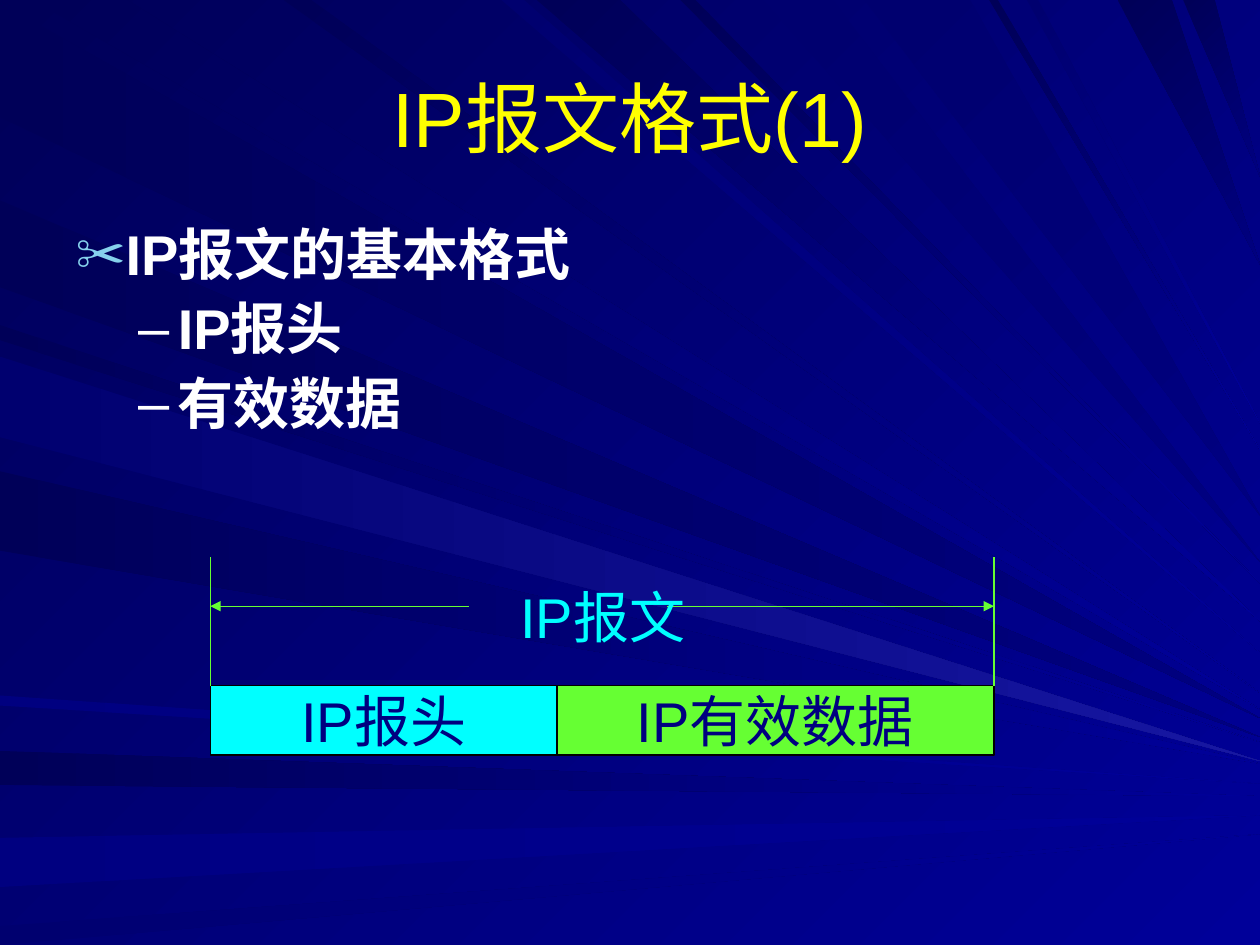
from lxml.etree import SubElement
from pptx import Presentation
from pptx.dml.color import RGBColor
from pptx.enum.shapes import MSO_CONNECTOR, MSO_SHAPE
from pptx.enum.text import MSO_ANCHOR, MSO_AUTO_SIZE, PP_ALIGN
from pptx.oxml.ns import qn
from pptx.util import Cm, Pt

COLORS = {
    "night": "000058", "dusk": "00006F", "blue": "000099", "navy": "000080",
    "haze": "1717A2", "yellow": "FFFF00", "white": "FFFFFF", "sky": "86D1EC",
    "cyan": "00FFFF", "green": "66FF33", "black": "000000",
}

# Rays: start and end on the left or top edge, height of the tip on the right
# edge, first and last colour; 100 units to the inch
GRID_UNIT = Cm(0.0254)
RIGHT_EDGE = 1000
LEFT_RAYS = [
    (2, 93, 570, "night", "navy"),
    (596, 623, 632, "night", "blue"),
    (665, 704, 647, "navy", "blue"),
    (735, 750, 662, "dusk", "blue"),
    (258, 270, 589, "night", "blue"),
    (159, 228, 585, "night", "navy"),
    (374, 437, 606, "night", "blue"),
    (552, 560, 622, "navy", "blue"),
    (283, 347, 604, "dusk", "haze"),
]
TOP_RAYS = [
    (26, 101, 563, "night", "blue"),
    (225, 247, 550, "night", "blue"),
    (398, 416, 518, "dusk", "blue"),
    (426, 492, 493, "night", "blue"),
    (540, 552, 463, "night", "blue"),
    (606, 661, 446, "dusk", "navy"),
    (686, 770, 409, "dusk", "navy"),
    (785, 792, 357, "night", "blue"),
    (815, 824, 336, "dusk", "blue"),
    (887, 930, 210, "night", "navy"),
    (939, 964, 140, "night", "navy"),
]


class SlideBuilder:
    font_name = "Arial"
    line_width = Pt(0.75)

    def __init__(self, slide):
        self.slide = slide

    def color(self, name):
        return RGBColor.from_string(COLORS[name])

    def gradient(self, fill, first, last, angle):
        fill.gradient()
        fill.gradient_angle = (360 - angle) % 360
        for stop, name in zip(fill.gradient_stops, (first, last)):
            stop.color.rgb = self.color(name)

    def format(self, paragraph, size, color, align=PP_ALIGN.LEFT, before=0, bold=False):
        paragraph.alignment = align
        paragraph.space_before = Pt(before)
        font = paragraph.font
        font.name, font.size, font.bold = self.font_name, Pt(size), bold
        font.color.rgb = self.color(color)

    def bullet(self, paragraph, character, color, margin, hanging, percent=100):
        properties = paragraph._p.get_or_add_pPr()
        properties.set("marL", str(Cm(margin)))
        properties.set("indent", str(-Cm(hanging)))
        bullet_color = SubElement(properties, qn("a:buClr"))
        SubElement(bullet_color, qn("a:srgbClr"), val=COLORS[color])
        SubElement(properties, qn("a:buSzPct"), val=str(percent * 1000))
        SubElement(properties, qn("a:buFont"), typeface=self.font_name)
        SubElement(properties, qn("a:buChar"), char=character)

    def ray(self, start, end, tip, first, last, angle):
        builder = self.slide.shapes.build_freeform(*start, scale=GRID_UNIT)
        builder.add_line_segments([end, (RIGHT_EDGE, tip)], close=True)
        shape = builder.convert_to_shape()
        shape.shadow.inherit = False
        shape.line.fill.background()
        self.gradient(shape.fill, first, last, angle)

    def placeholder(self, index, left, top, width, height, anchor):
        shape = self.slide.placeholders[index]
        shape.left, shape.top, shape.width, shape.height = map(Cm, (left, top, width, height))
        shape.text_frame.vertical_anchor = anchor
        shape.text_frame.auto_size = MSO_AUTO_SIZE.NONE
        # Bring the text in front of the rays
        shape.element.getparent().append(shape.element)
        return shape.text_frame

    def title(self, text, *box):
        frame = self.placeholder(0, *box, MSO_ANCHOR.MIDDLE)
        frame.text = text
        self.format(frame.paragraphs[0], 44, "yellow", PP_ALIGN.CENTER)

    def body(self, items, *box):
        frame = self.placeholder(1, *box, MSO_ANCHOR.TOP)
        frame.text = "\n".join(text for text, level in items)
        for paragraph, (text, level) in zip(frame.paragraphs, items):
            paragraph.level = level
            paragraph.line_spacing = 0.9
            paragraph.space_before = Pt(8)
            if level:
                self.bullet(paragraph, "–", "white", 2.06, 0.79)
            else:
                self.bullet(paragraph, "✂", "sky", 0.97, 0.97, 90)
            self.format(paragraph, 32, "white", before=8, bold=True)

    def field(self, text, fill, *box):
        shape = self.slide.shapes.add_shape(MSO_SHAPE.RECTANGLE, *map(Cm, box))
        shape.shadow.inherit = False
        shape.fill.solid()
        shape.fill.fore_color.rgb = self.color(fill)
        shape.line.color.rgb = self.color("black")
        shape.line.width = self.line_width
        frame = shape.text_frame
        frame.word_wrap = False
        frame.vertical_anchor = MSO_ANCHOR.MIDDLE
        frame.text = text
        self.format(frame.paragraphs[0], 32, "navy", PP_ALIGN.CENTER, 8)

    def line(self, *ends, arrow=False):
        connector = self.slide.shapes.add_connector(MSO_CONNECTOR.STRAIGHT, *map(Cm, ends))
        connector.line.color.rgb = self.color("green")
        connector.line.width = self.line_width
        properties = connector.element.spPr
        if arrow:
            SubElement(properties.find(qn("a:ln")), qn("a:headEnd"), type="triangle")
        SubElement(properties, qn("a:effectLst"))

    def label(self, text, *box):
        frame = self.slide.shapes.add_textbox(*map(Cm, box)).text_frame
        frame.word_wrap = True
        frame.auto_size = MSO_AUTO_SIZE.SHAPE_TO_FIT_TEXT
        frame.text = text
        self.format(frame.paragraphs[0], 32, "cyan", before=20)


def main():
    presentation = Presentation()
    presentation.slide_width, presentation.slide_height = Cm(25.4), Cm(19.05)
    slide = presentation.slides.add_slide(presentation.slide_layouts[1])
    builder = SlideBuilder(slide)

    # Background
    builder.gradient(slide.background.fill, "night", "blue", 45)
    for start, end, *rest in LEFT_RAYS:
        builder.ray((0, start), (0, end), *rest, angle=0)
    for start, end, *rest in TOP_RAYS:
        builder.ray((start, 0), (end, 0), *rest, angle=45)

    # Title and list
    builder.title("IP报文格式(1)", 1.27, 0.76, 22.86, 3.18)
    items = [("IP报文的基本格式", 0), ("IP报头", 1), ("有效数据", 1)]
    builder.body(items, 1.27, 4.45, 23.24, 4.67)

    # Packet fields
    left, middle, right = 4.24, 11.23, 20.04
    top, height = 13.82, 1.4
    builder.field("IP报头", "cyan", left, top, middle - left, height)
    builder.field("IP有效数据", "green", middle, top, right - middle, height)

    # Dimension lines over the whole packet
    for edge, inner_end in ((left, 9.45), (right, 13.44)):
        builder.line(edge, 11.23, edge, top)
        builder.line(edge, 12.22, inner_end, 12.22, arrow=True)
    builder.label("IP报文", 10.24, 11.61, 4.17, 1.63)

    presentation.save("out.pptx")


if __name__ == "__main__":
    main()
